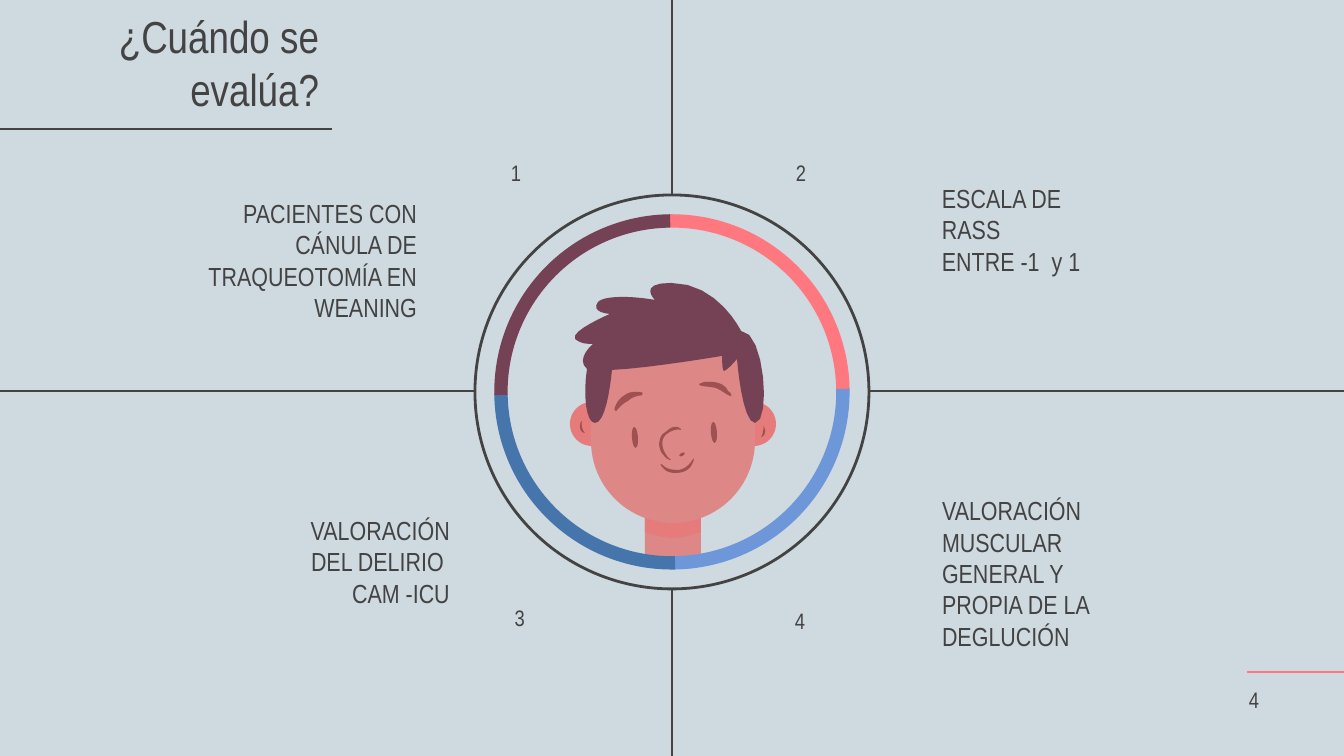
import dataclasses

import lxml.etree
import pptx
import pptx.dml.color
import pptx.enum.shapes
import pptx.enum.text
import pptx.oxml.ns
import pptx.util

PX = 914400 / 134.4
WIDTH, HEIGHT = 1344, 756
SHAPE = pptx.enum.shapes.MSO_SHAPE
ALIGN = pptx.enum.text.PP_ALIGN
ANCHOR = pptx.enum.text.MSO_ANCHOR


@dataclasses.dataclass(frozen=True)
class Theme:
    background: str = "CFD9E0"
    ink: str = "434343"
    coral: str = "FF787F"
    sky: str = "6D97D9"
    blue: str = "4675AB"
    plum: str = "754255"
    skin: str = "DD8787"
    blush: str = "E57B7A"
    feature: str = "9F5050"
    font: str = "Arial Narrow"
    title: int = 24
    body: int = 14
    label: int = 12
    rule: float = 1.5
    hairline: float = 0.75


THEME = Theme()

# Outlines relative to the face box: a start point, then three points per Bézier curve.
NECK_SHADE = [(76, 228), (76, 249), (76, 249), (76, 249), (85, 252), (95, 255), (104, 255),
              (114, 255), (123, 252), (132, 249), (132, 228), (132, 228), (132, 228)]
HAIR = [(102, 0), (68, 0), (86, 17), (86, 17), (86, 17), (69, 14), (55, 14),
        (44, 14), (33, 15), (29, 19), (21, 30), (41, 31), (41, 31),
        (41, 31), (1, 48), (6, 56), (12, 61), (18, 61), (24, 61),
        (24, 61), (6, 76), (18, 86), (14, 112), (17, 140), (26, 140),
        (36, 140), (41, 107), (43, 87), (83, 85), (153, 73), (153, 73),
        (153, 73), (153, 88), (155, 88), (159, 87), (168, 76), (168, 76),
        (168, 76), (173, 140), (186, 140), (202, 140), (196, 48), (172, 48),
        (172, 48), (149, 0), (102, 0)]
NOSE = [(106, 144), (103, 144), (100, 146), (98, 148), (95, 150), (92, 152), (91, 156),
        (90, 160), (90, 163), (91, 166), (92, 170), (94, 171), (96, 174),
        (99, 177), (102, 177), (102, 177), (103, 177), (99, 175), (98, 173),
        (95, 169), (92, 163), (94, 156), (96, 151), (102, 148), (106, 147),
        (107, 147), (108, 146), (112, 147), (112, 146), (111, 144), (106, 144)]
MOUTH = [(125, 175), (125, 176), (123, 177), (122, 179), (119, 183), (115, 186), (110, 187),
         (103, 187), (99, 186), (96, 184), (94, 182), (92, 181), (92, 181),
         (91, 181), (92, 183), (95, 186), (98, 189), (102, 190), (107, 190),
         (116, 190), (122, 185), (123, 181), (125, 178), (125, 175), (125, 175)]
LEFT_BROW = [(67, 109), (64, 109), (60, 109), (56, 112), (51, 115), (48, 119), (47, 122),
             (45, 126), (45, 127), (47, 128), (48, 128), (51, 122), (59, 118),
             (65, 112), (73, 113), (73, 112), (75, 109), (72, 109), (67, 109)]
RIGHT_BROW = [(141, 99), (138, 99), (137, 99), (135, 99), (133, 100), (130, 101), (130, 101),
              (131, 104), (138, 103), (147, 105), (154, 108), (159, 113), (162, 113),
              (163, 112), (162, 110), (159, 108), (158, 105), (154, 101), (149, 100),
              (146, 99), (144, 99), (141, 99)]
LEFT_EAR_FOLD = [(13, 138), (10, 140), (10, 150), (16, 150), (14, 148), (12, 144), (13, 138)]
RIGHT_EAR_FOLD = [(194, 143), (195, 143), (195, 145), (194, 148), (194, 152), (192, 154),
                  (192, 154), (196, 154), (198, 146), (194, 143)]


def emu(length):
    return pptx.util.Emu(round(length * PX))


def color(value):
    return pptx.dml.color.RGBColor.from_string(value)


def assign(target, values):
    for name, value in values.items():
        setattr(target, name, value)


def paint(shape, fill=None, line=None, weight=THEME.rule):
    shape.shadow.inherit = False
    if fill:
        shape.fill.solid()
        shape.fill.fore_color.rgb = color(fill)
    else:
        shape.fill.background()
    if line:
        shape.line.color.rgb = color(line)
        shape.line.width = pptx.util.Pt(weight)
    else:
        shape.line.fill.background()


def add_preset(page, kind, box, **style):
    shape = page.shapes.add_shape(kind, *map(emu, box))
    paint(shape, **style)
    return shape


def add_rule(page, start, end, ink=THEME.ink):
    rule = page.shapes.add_connector(
        pptx.enum.shapes.MSO_CONNECTOR.STRAIGHT, *map(emu, (*start, *end)))
    rule.line.color.rgb = color(ink)
    rule.line.width = pptx.util.Pt(THEME.rule)
    lxml.etree.SubElement(rule._element.spPr, pptx.oxml.ns.qn("a:effectLst"))


def add_curve(page, origin, outline, fill, steps=8):
    """Fill a closed outline of Bézier curves, each sampled in equal steps."""
    points = [outline[0]]
    for first in range(0, len(outline) - 1, 3):
        a, b, c, d = outline[first:first + 4]
        for step in range(1, steps + 1):
            t = step / steps
            u = 1 - t
            points.append(tuple(u**3 * a[i] + 3 * u * u * t * b[i] + 3 * u * t * t * c[i]
                                + t**3 * d[i] for i in (0, 1)))
    placed = [(emu(origin[0] + x), emu(origin[1] + y)) for x, y in points]
    builder = page.shapes.build_freeform(*placed[0])
    builder.add_line_segments(placed[1:], close=True)
    paint(builder.convert_to_shape(), fill)


def add_text(page, box, lines, size, align=ALIGN.LEFT, anchor=ANCHOR.TOP, inset=13):
    frame = page.shapes.add_textbox(*map(emu, box)).text_frame
    margins = {f"margin_{side}": emu(inset) for side in ("left", "top", "right", "bottom")}
    assign(frame, {"word_wrap": True, "vertical_anchor": anchor, **margins})
    for number, line in enumerate(lines):
        para = frame.add_paragraph() if number else frame.paragraphs[0]
        para.alignment = align
        span = para.add_run()
        span.text = line
        assign(span.font, {"name": THEME.font, "size": pptx.util.Pt(size)})
        span.font.color.rgb = color(THEME.ink)


def draw_face(page, box):
    left, top = box[:2]

    def place(kind, x, y, width, height, fill):
        return add_preset(page, kind, (left + x, top + y, width, height), fill=fill)

    place(SHAPE.RECTANGLE, 76, 228, 56, 52, THEME.skin)
    add_curve(page, (left, top), NECK_SHADE, THEME.blush)
    for x in (1, 163):
        place(SHAPE.OVAL, x, 119, 44, 44, THEME.blush)
    head = place(SHAPE.ROUNDED_RECTANGLE, 22, 26, 164, 214, THEME.skin)
    head.adjustments[0] = 0.5
    add_curve(page, (left, top), HAIR, THEME.plum)
    for outline in (NOSE, MOUTH, LEFT_BROW, RIGHT_BROW, LEFT_EAR_FOLD, RIGHT_EAR_FOLD):
        add_curve(page, (left, top), outline, THEME.feature)
    for x, y in ((63, 144), (142, 139)):
        place(SHAPE.OVAL, x, y, 6, 21, THEME.feature).rotation = -4
    place(SHAPE.OVAL, 110, 170, 6, 3, THEME.feature).rotation = -30


def draw_ring(page, box):
    """Draw the outer circle and, inside it, four coloured quarter arcs."""
    left, top, width, height = box
    add_preset(page, SHAPE.OVAL, box, line=THEME.ink)
    gap, thickness = 20, 12
    inner = (left + gap, top + gap, width - 2 * gap, height - 2 * gap)
    for quarter, hue in enumerate((THEME.coral, THEME.sky, THEME.blue, THEME.plum)):
        arc = add_preset(page, SHAPE.BLOCK_ARC, inner, fill=hue, line=hue, weight=THEME.hairline)
        start = (269.2 + 90 * quarter) % 360
        angles = (start, (start + 90) % 360)
        for index, angle in enumerate(angles):
            arc.adjustments[index] = angle * 0.6
        arc.adjustments[2] = thickness / inner[2]


def draw_cross(page, box):
    """Run a rule from each side of the circle's box to the slide edge."""
    left, top, width, height = box
    x, y = left + width // 2, top + height // 2 - 1
    add_rule(page, (0, y), (left, y))
    add_rule(page, (left + width, y), (WIDTH, y))
    add_rule(page, (x, 0), (x, top))
    add_rule(page, (x, top + height), (x, HEIGHT))


def draw_quadrant(page, box, lines, number, label_corner, align):
    add_text(page, box, lines, THEME.body, align, ANCHOR.MIDDLE, inset=0)
    add_text(page, (*label_corner, 58, 58), [number], THEME.label, align)


def draw_title(page, box):
    left, top, width, height = box
    add_text(page, box, ["¿Cuándo se evalúa?"], THEME.title, ALIGN.RIGHT, ANCHOR.BOTTOM)
    add_rule(page, (left, top + height), (left + width, top + height))


def draw_page_number(page, box):
    left, top, width, height = box
    add_rule(page, (left + 11, top + 4), (WIDTH, top + 4), THEME.coral)
    add_text(page, box, ["4"], THEME.label, anchor=ANCHOR.BOTTOM)


def main():
    deck = pptx.Presentation()
    assign(deck, {"slide_width": emu(WIDTH), "slide_height": emu(HEIGHT)})
    page = deck.slides.add_slide(deck.slide_layouts[6])
    page.background.fill.solid()
    page.background.fill.fore_color.rgb = color(THEME.background)

    circle = (475, 195, 394, 394)
    draw_face(page, (569, 283, 207, 280))
    draw_ring(page, circle)
    draw_cross(page, circle)
    quadrants = [
        ((167, 192, 250, 136),
         ["PACIENTES CON", "CÁNULA DE", "TRAQUEOTOMÍA EN", "WEANING"],
         "1", (476, 146), ALIGN.RIGHT),
        ((942, 194, 167, 71), ["ESCALA DE RASS", "ENTRE -1  y 1"],
         "2", (783, 146), ALIGN.LEFT),
        ((274, 505, 176, 113), ["VALORACIÓN", "DEL DELIRIO ", "CAM -ICU"],
         "3", (480, 591), ALIGN.RIGHT),
        ((942, 534, 188, 78), ["VALORACIÓN", "MUSCULAR GENERAL Y", "PROPIA DE LA", "DEGLUCIÓN"],
         "4", (782, 594), ALIGN.LEFT),
    ]
    for quadrant in quadrants:
        draw_quadrant(page, *quadrant)
    draw_title(page, (0, 13, 332, 116))
    draw_page_number(page, (1236, 668, 47, 58))
    deck.save("out.pptx")


if __name__ == "__main__":
    main()
